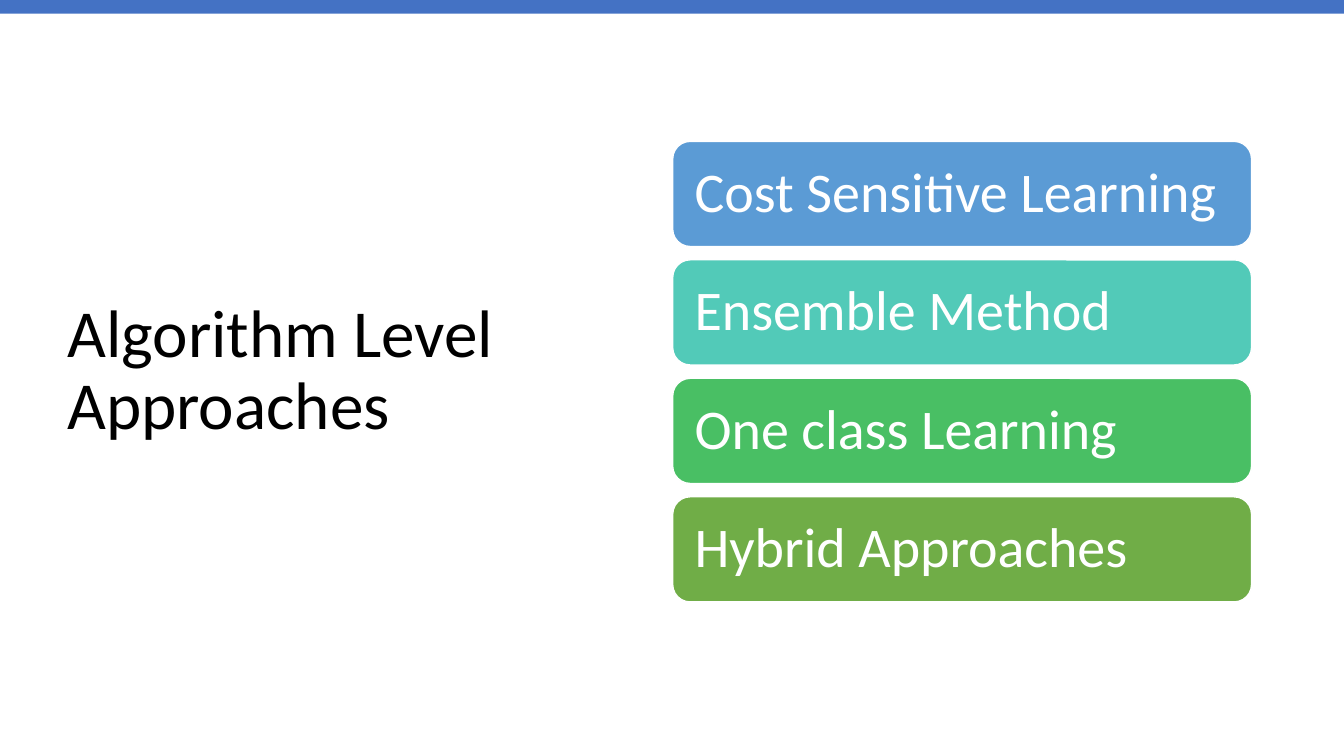
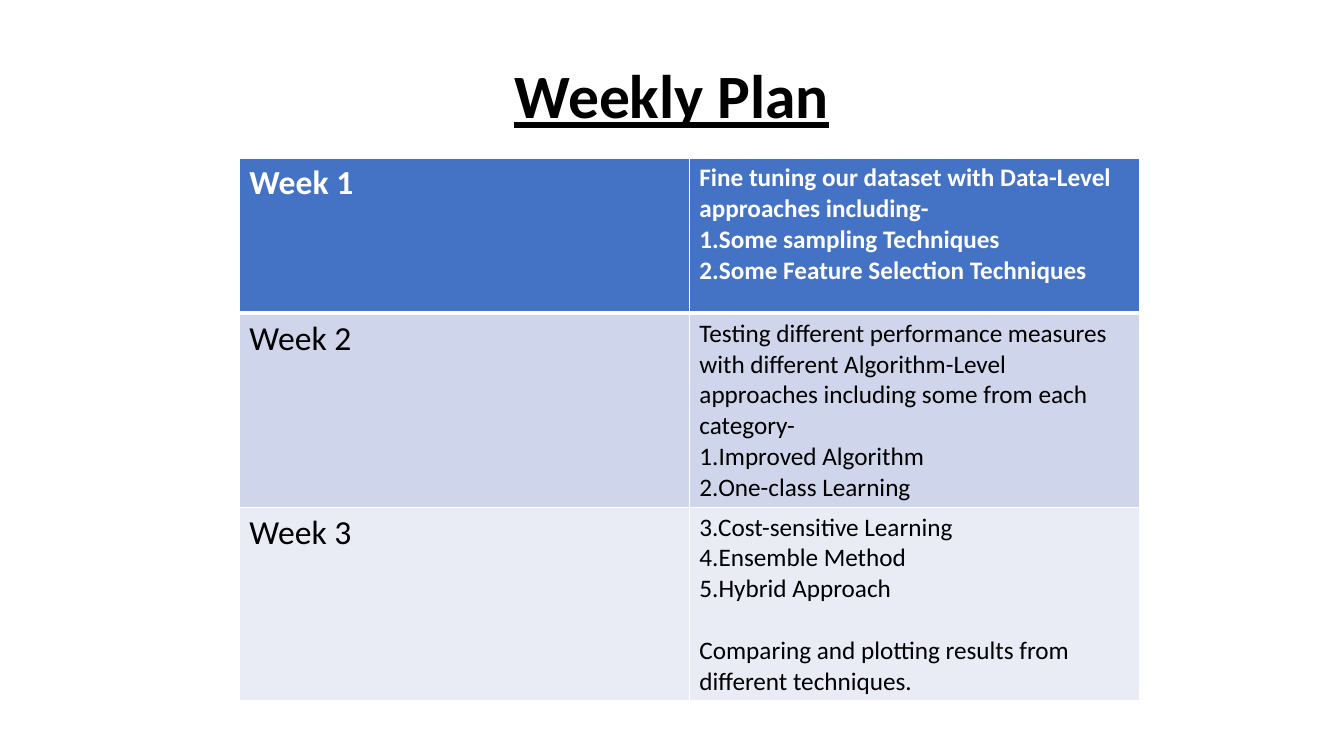
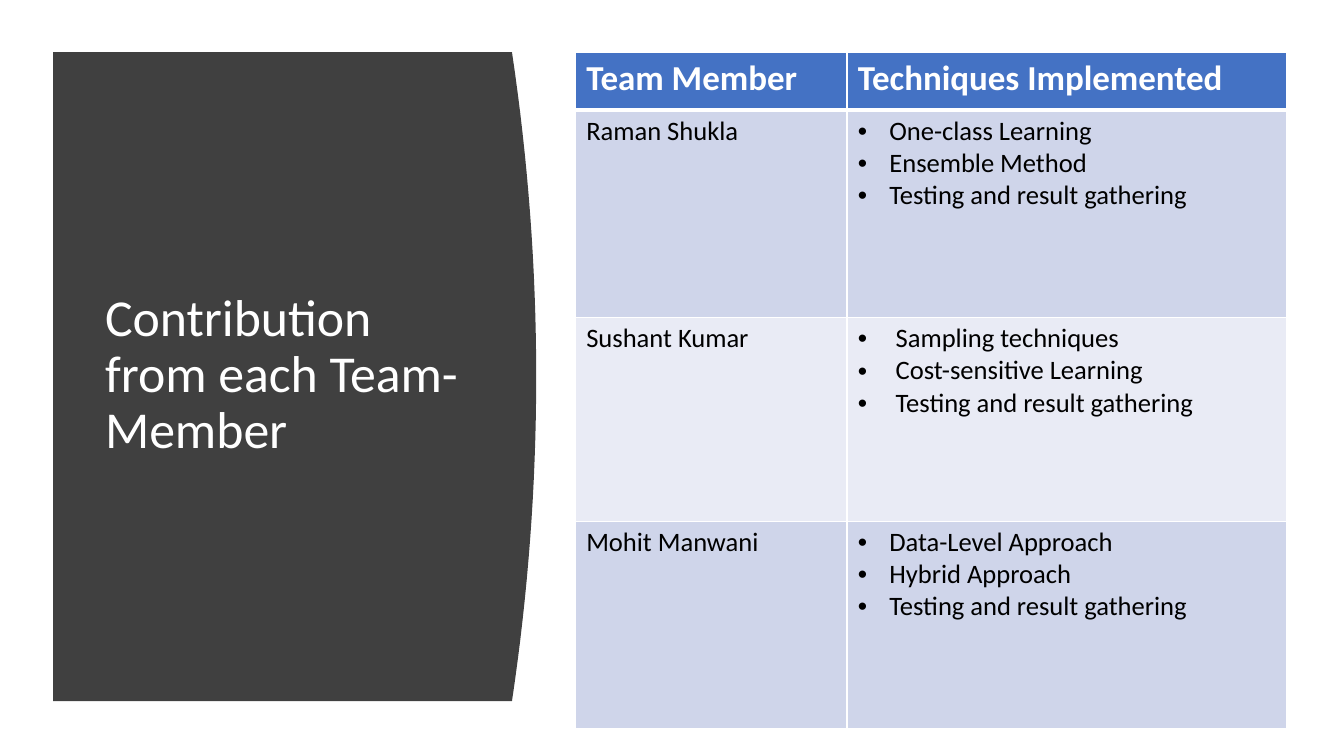
from collections import namedtuple

from lxml.etree import SubElement
from pptx import Presentation
from pptx.dml.color import RGBColor
from pptx.enum.shapes import MSO_SHAPE
from pptx.enum.text import MSO_ANCHOR, PP_ALIGN
from pptx.oxml.ns import qn
from pptx.util import Pt

Box = namedtuple("Box", "left top width height")

# Shared look
FONT = "Calibri"
BLACK, WHITE = "000000", "FFFFFF"
BLUE, CHARCOAL = "4472C4", "404040"
ROW_FILLS = ["CFD5EA", "E9EBF5"]
PAGE_WIDTH, PAGE_HEIGHT = 960, 540
THIN, THICK = 1, 3


def color(code):
    return RGBColor.from_string(code)


def points(box):
    return [Pt(length) for length in box]


def write(frame, lines, size=18, ink=BLACK, bold=False, underline=False,
          align=PP_ALIGN.LEFT, spacing=1.0, indent=0):
    """Write each line as a paragraph; an indent gives it a bullet."""
    for index, line in enumerate(lines):
        para = frame.paragraphs[0] if index == 0 else frame.add_paragraph()
        para.alignment = align
        para.line_spacing = spacing
        if indent:
            properties = para._p.get_or_add_pPr()
            properties.set("marL", str(Pt(indent)))
            properties.set("indent", str(-Pt(indent)))
            SubElement(properties, qn("a:buFont")).set("typeface", "Arial")
            SubElement(properties, qn("a:buChar")).set("char", "•")
        span = para.add_run()
        span.text = line
        font = span.font
        font.name, font.size = FONT, Pt(size)
        font.bold, font.underline = bold, underline
        font.color.rgb = color(ink)


def add_title(page, box, text, **text_format):
    frame = page.shapes.add_textbox(*points(box)).text_frame
    frame.word_wrap = True
    frame.vertical_anchor = MSO_ANCHOR.MIDDLE
    write(frame, [text], spacing=0.9, **text_format)


def paint(shape, fill, line=None):
    shape.shadow.inherit = False
    shape.fill.solid()
    shape.fill.fore_color.rgb = color(fill)
    if line:
        shape.line.color.rgb = color(line)
        shape.line.width = Pt(THIN)
    else:
        shape.line.fill.background()


def add_button_stack(page, box, buttons, gap):
    """Stack equal rounded buttons down the box."""
    height = (box.height - gap * (len(buttons) - 1)) / len(buttons)
    for index, (label, fill) in enumerate(buttons):
        place = Box(box.left, box.top + index * (height + gap), box.width, height)
        button = page.shapes.add_shape(MSO_SHAPE.ROUNDED_RECTANGLE, *points(place))
        paint(button, fill, WHITE)
        frame = button.text_frame
        frame.word_wrap = True
        frame.vertical_anchor = MSO_ANCHOR.MIDDLE
        frame.margin_left = frame.margin_right = Pt(12)
        write(frame, [label], size=40, ink=WHITE, spacing=0.9)


def add_curved_panel(page, box, bulge, steps=32):
    """Draw a panel whose right edge swells outward as a parabola."""
    edge = []
    for step in range(steps + 1):
        part = step / steps
        swell = bulge * 4 * part * (1 - part)
        edge.append((Pt(box.left + box.width - bulge + swell),
                     Pt(box.top + box.height * part)))
    builder = page.shapes.build_freeform(Pt(box.left), Pt(box.top))
    builder.add_line_segments(edge + [(Pt(box.left), Pt(box.top + box.height))])
    paint(builder.convert_to_shape(), CHARCOAL)


def set_borders(cell, top, bottom):
    properties = cell._tc.get_or_add_tcPr()
    sides = {"a:lnL": THIN, "a:lnR": THIN, "a:lnT": top, "a:lnB": bottom}
    for side, width in sides.items():
        line = SubElement(properties, qn(side))
        line.set("w", str(Pt(width)))
        fill = SubElement(line, qn("a:solidFill"))
        SubElement(fill, qn("a:srgbClr")).set("val", WHITE)


def add_table(page, left, top, widths, heights, rows, margin):
    """Each cell is a tuple: its lines, and its text format."""
    box = Box(left, top, sum(widths), sum(heights))
    table = page.shapes.add_table(len(rows), len(widths), *points(box)).table
    table.first_row = table.horz_banding = False
    for column, width in zip(table.columns, widths):
        column.width = Pt(width)
    for row_index, (height, row) in enumerate(zip(heights, rows)):
        table.rows[row_index].height = Pt(height)
        header = row_index == 0
        for column_index, (lines, text_format) in enumerate(row):
            cell = table.cell(row_index, column_index)
            cell.margin_left = cell.margin_right = Pt(margin)
            set_borders(cell, top=THICK if row_index == 1 else THIN,
                        bottom=THICK if header else THIN)
            cell.fill.solid()
            cell.fill.fore_color.rgb = color(
                BLUE if header else ROW_FILLS[(row_index - 1) % 2])
            write(cell.text_frame, lines, ink=WHITE if header else BLACK,
                  bold=header, **text_format)
    return table


def build_approaches(page):
    # Top band
    band = page.shapes.add_shape(MSO_SHAPE.RECTANGLE,
                                 *points(Box(0, 0, PAGE_WIDTH, 9.8)))
    paint(band, BLUE)
    add_title(page, Box(41, 49, 408, 433), "Algorithm Level Approaches", size=48)
    # Approaches
    add_button_stack(page, Box(480.5, 101, 413.5, 329), [
        ("Cost Sensitive Learning", "5B9BD5"),
        ("Ensemble Method", "52CAB8"),
        ("One class Learning", "49BF64"),
        ("Hybrid Approaches", "70AD47"),
    ], gap=9.5)


def build_weekly_plan(page):
    add_title(page, Box(66, 29, 828, 83.5), "Weekly Plan", size=44, bold=True,
              underline=True, align=PP_ALIGN.CENTER)
    # Weeks and their tasks
    tasks = [
        ["Fine tuning our dataset with Data-Level approaches including-",
         "1.Some sampling Techniques",
         "2.Some Feature Selection Techniques"],
        ["Testing different performance measures with different "
         "Algorithm-Level approaches including some from each category-",
         "1.Improved Algorithm",
         "2.One-class Learning"],
        ["3.Cost-sensitive Learning",
         "4.Ensemble Method",
         "5.Hybrid Approach",
         "Comparing and plotting results from different techniques."],
    ]
    rows = [[([f"Week {number}"], {"size": 24}), (lines, {"size": 18})]
            for number, lines in enumerate(tasks, 1)]
    table = add_table(page, 171, 112.8, [321.4] * 2, [111, 138.5, 138.5],
                      rows, margin=7.2)
    # Gap before the closing task
    table.cell(2, 1).text_frame.paragraphs[-1].space_before = Pt(22)


def build_contributions(page):
    add_curved_panel(page, Box(38, 37.3, 345, 463.5), bulge=17.3)
    add_title(page, Box(68, 80, 269, 377), "Contribution from each Team-Member",
              size=37, ink=WHITE)
    # Members and their techniques
    members = [
        ("Raman Shukla", 22.5, ["One-class Learning", "Ensemble Method"]),
        ("Sushant Kumar", 27, ["Sampling techniques", "Cost-sensitive Learning"]),
        ("Mohit Manwani", 22.5, ["Data-Level Approach", "Hybrid Approach"]),
    ]
    rows = [[([heading], {"size": 25})
             for heading in ("Team Member", "Techniques Implemented")]]
    for name, indent, techniques in members:
        rows.append([([name], {"size": 19}),
                     (techniques + ["Testing and result gathering"],
                      {"size": 19, "indent": indent})])
    add_table(page, 411, 37.6, [194, 314.4], [41, 148.2, 145.5, 148.2],
              rows, margin=7.8)


def main():
    deck = Presentation()
    deck.slide_width, deck.slide_height = Pt(PAGE_WIDTH), Pt(PAGE_HEIGHT)
    for build in (build_approaches, build_weekly_plan, build_contributions):
        build(deck.slides.add_slide(deck.slide_layouts[6]))
    deck.save("out.pptx")


if __name__ == "__main__":
    main()
